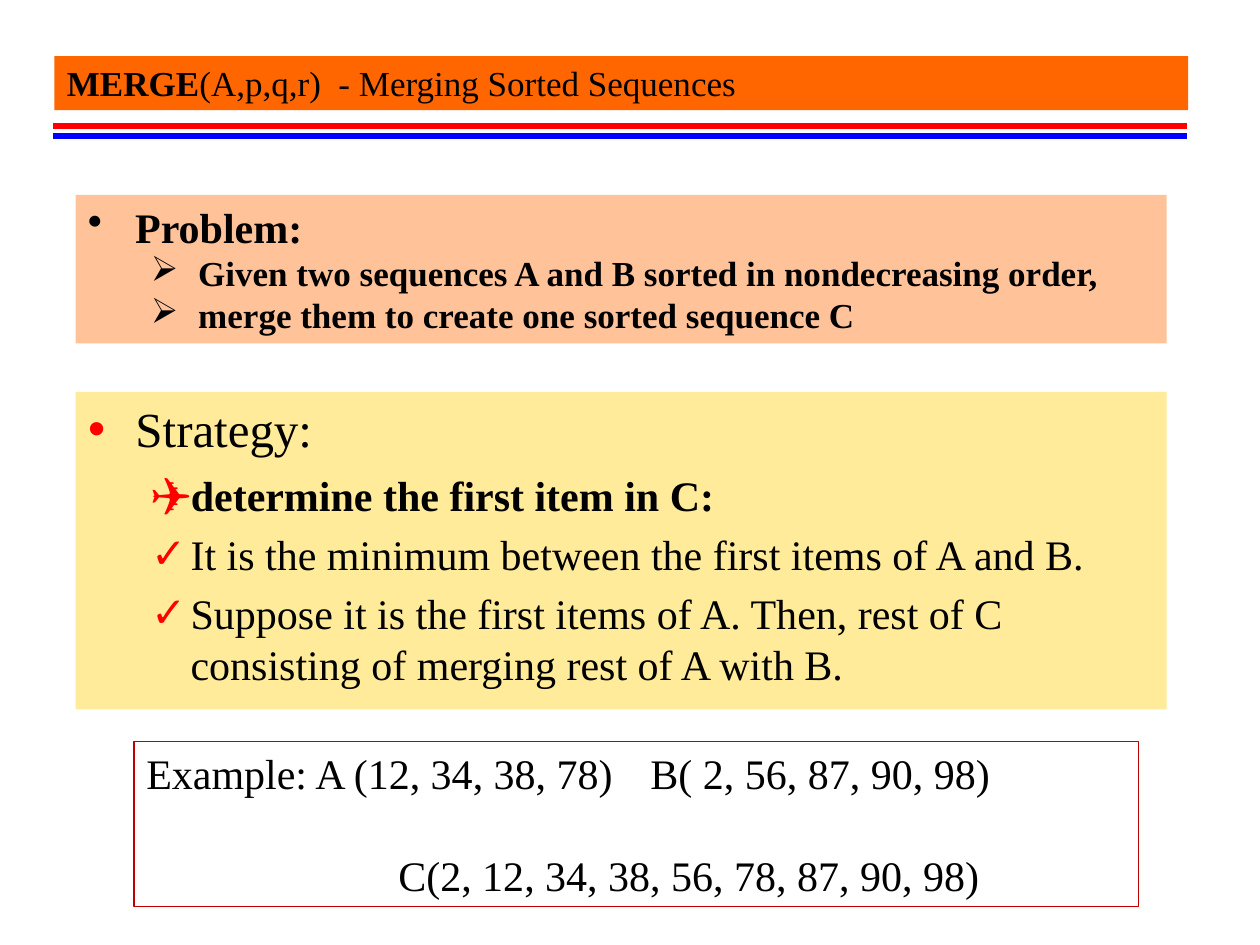
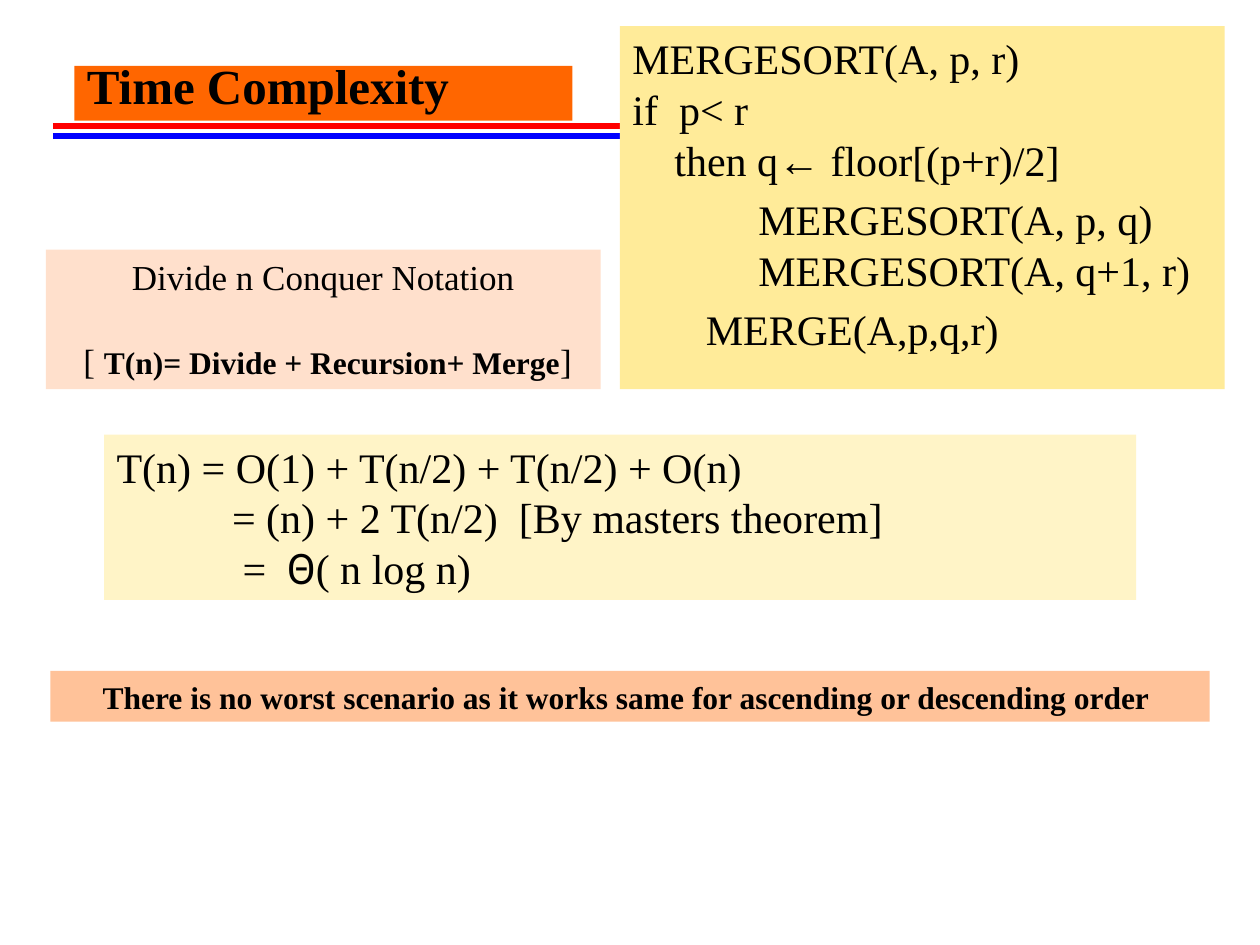
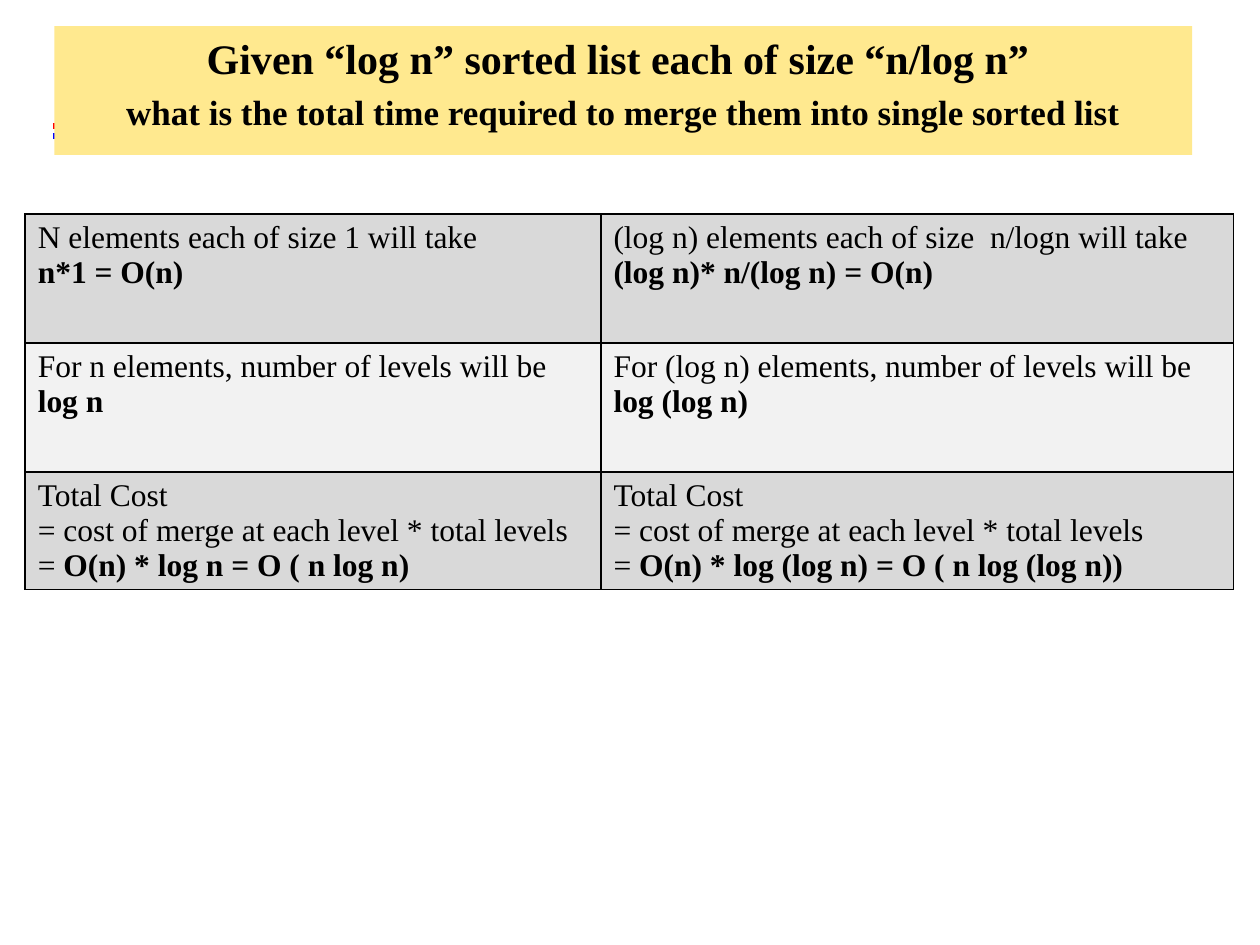
import dataclasses
import itertools

import pptx
import pptx.dml.color
import pptx.enum.shapes
import pptx.enum.text
import pptx.oxml.ns
import pptx.util
from lxml import etree

Pt = pptx.util.Pt
qn = pptx.oxml.ns.qn
ALIGN = pptx.enum.text.PP_ALIGN
ANCHOR = pptx.enum.text.MSO_ANCHOR


@dataclasses.dataclass(frozen=True)
class Theme:
    font: str = "Times New Roman"
    greek_font: str = "Roboto"
    greek_letters: str = "Θ"
    ink: str = "000000"
    title_band: str = "FF6600"
    red: str = "FF0000"
    blue: str = "0000FF"
    example_border: str = "C00000"
    peach: str = "FFC299"
    pale_peach: str = "FFE0CC"
    yellow: str = "FFEB99"
    pale_yellow: str = "FFF4C7"
    question_yellow: str = "FFE98F"
    row_fills: tuple = ("D9D9D9", "F2F2F2")
    heading: int = 28
    body: int = 24
    detail: int = 20
    small: int = 18
    leading: float = 1.2
    paragraph_gap: float = 0.2


THEME = Theme()


@dataclasses.dataclass
class Line:
    """One paragraph; parts between ** marks are bold, newlines are line breaks."""
    text: str
    size: int = THEME.body
    bold: bool = False
    bold_size: int = 0
    align: ALIGN = ALIGN.LEFT
    level: int = 0
    left: float = 0
    hang: float = 0
    bullet: str = ""
    bullet_color: str = THEME.ink
    before: float = 0
    tab: float = 0


def rgb(color):
    return pptx.dml.color.RGBColor.from_string(color)


def add_xml(parent, tag, **attributes):
    return etree.SubElement(parent, qn(tag), {k: str(v) for k, v in attributes.items()})


class Deck:
    def __init__(self, theme):
        self.theme = theme
        self.prs = pptx.Presentation()
        self.prs.slide_width, self.prs.slide_height = Pt(720), Pt(540)
        self.slide = None

    def new_slide(self):
        self.slide = self.prs.slides.add_slide(self.prs.slide_layouts[1])

    def master_rule(self, y, color):
        """Draw a rule under the title and move it to the slide master."""
        rule = self.slide.shapes.add_connector(
            pptx.enum.shapes.MSO_CONNECTOR.STRAIGHT, Pt(30.24), Pt(y), Pt(678.24), Pt(y))
        rule.line.color.rgb = rgb(color)
        rule.line.width = Pt(3)
        add_xml(rule.element.spPr, "a:effectLst")
        master = self.prs.slide_master.shapes
        rule.element.nvCxnSpPr.cNvPr.set("id", str(20 + len(master)))
        master.element.append(rule.element)

    def title(self, box, line):
        heading = self.slide.shapes.title
        self.place(heading, box, self.theme.title_band)
        heading.text_frame.vertical_anchor = ANCHOR.BOTTOM
        self.set_lines(heading.text_frame, [line], spaced=False)

    def no_title(self):
        heading = self.slide.shapes.title.element
        heading.getparent().remove(heading)

    def body(self, box, fill, lines):
        content = self.slide.placeholders[1]
        self.place(content, box, fill)
        for line in lines[1:]:
            line.before = line.before or line.size * self.theme.paragraph_gap
        self.set_lines(content.text_frame, lines)

    def panel(self, box, lines, fill=None, border=None):
        panel = self.slide.shapes.add_textbox(*map(Pt, box))
        self.place(panel, box, fill)
        if border:
            panel.line.color.rgb = rgb(border)
            panel.line.width = Pt(0.75)
        self.set_lines(panel.text_frame, lines)

    def table(self, box, widths, heights, rows):
        grid = self.slide.shapes.add_table(len(rows), len(widths), *map(Pt, box)).table
        grid.first_row = grid.horz_banding = False
        for column, width in zip(grid.columns, widths):
            column.width = Pt(width)
        for r, (row, height) in enumerate(zip(rows, heights)):
            grid.rows[r].height = Pt(height)
            for c, texts in enumerate(row):
                cell = grid.cell(r, c)
                self.cell_borders(cell)
                cell.fill.solid()
                cell.fill.fore_color.rgb = rgb(self.theme.row_fills[r % 2])
                lines = [Line(text, self.theme.small) for text in texts]
                self.set_lines(cell.text_frame, lines, spaced=False)

    def cell_borders(self, cell):
        properties = cell._tc.get_or_add_tcPr()
        for side in "LRTB":
            edge = add_xml(properties, f"a:ln{side}", w=Pt(1))
            add_xml(add_xml(edge, "a:solidFill"), "a:srgbClr", val=self.theme.ink)

    def place(self, shape, box, fill):
        shape.left, shape.top, shape.width, shape.height = map(Pt, box)
        if fill:
            shape.fill.solid()
            shape.fill.fore_color.rgb = rgb(fill)
        shape.text_frame.word_wrap = True
        shape.text_frame.auto_size = pptx.enum.text.MSO_AUTO_SIZE.NONE

    def set_lines(self, frame, lines, spaced=True):
        for i, line in enumerate(lines):
            paragraph = frame.add_paragraph() if i else frame.paragraphs[0]
            self.indent(paragraph, line)
            paragraph.alignment = line.align
            paragraph.space_before = Pt(line.before)
            if spaced:
                paragraph.line_spacing = Pt(round(line.size * self.theme.leading))
            font = paragraph.font
            font.name, font.size, font.bold = self.theme.font, Pt(line.size), line.bold
            font.color.rgb = rgb(self.theme.ink)
            self.add_runs(paragraph, line)

    def indent(self, paragraph, line):
        paragraph.level = line.level
        properties = paragraph._p.get_or_add_pPr()
        properties.set("marL", str(Pt(line.left)))
        properties.set("indent", str(Pt(-line.hang)))
        if line.bullet:
            add_xml(add_xml(properties, "a:buClr"), "a:srgbClr", val=line.bullet_color)
            add_xml(properties, "a:buChar", char=line.bullet)
        else:
            add_xml(properties, "a:buNone")
        if line.tab:
            add_xml(add_xml(properties, "a:tabLst"), "a:tab", pos=Pt(line.tab), algn="l")

    def add_runs(self, paragraph, line):
        for i, part in enumerate(line.text.split("**")):
            for j, row in enumerate(part.split("\n")):
                if j:
                    paragraph.add_line_break()
                for greek, letters in itertools.groupby(
                        row, lambda letter: letter in self.theme.greek_letters):
                    run = paragraph.add_run()
                    run.text = "".join(letters)
                    if greek:
                        run.font.name = self.theme.greek_font
                    if i % 2:
                        run.font.bold = True
                        if line.bold_size:
                            run.font.size = Pt(line.bold_size)


def merging(deck):
    t = deck.theme
    deck.new_slide()
    deck.master_rule(77.76, t.blue)
    deck.master_rule(72, t.red)
    deck.title((31, 32, 648, 31),
               Line("**MERGE**(A,p,q,r)  - Merging Sorted Sequences", t.detail))

    # Strategy
    step = dict(level=1, left=58.5, hang=22.5, bullet_color=t.red)
    deck.body((43.2, 224, 623.5, 181.4), t.yellow, [
        Line("Strategy:", t.heading, left=27, hang=27, bullet="•", bullet_color=t.red),
        Line("determine the first item in C:", bold=True, bullet="✈", before=6.5, **step),
        Line("It is the minimum between the first items of A and B.", bullet="✓", **step),
        Line("Suppose it is the first items of A. Then, rest of C consisting of "
             "merging rest of A with B.", bullet="✓", **step),
    ])

    # Problem
    given = dict(size=t.detail, bold=True, level=1, left=63, hang=27, bullet="➢")
    deck.panel((43.2, 111.4, 623.5, 84.8), [
        Line("Problem:", bold=True, left=27, hang=27, bullet="•"),
        Line("Given two sequences A and B sorted in nondecreasing order,", **given),
        Line("merge them to create one sorted sequence C", **given),
    ], fill=t.peach)

    # Example
    deck.panel((76.5, 423.7, 574, 94.5), [
        Line("Example: A (12, 34, 38, 78) \tB( 2, 56, 87, 90, 98)", tab=360),
        Line("C(2, 12, 34, 38, 56, 78, 87, 90, 98)", left=144, before=29),
    ], border=t.example_border)


def complexity(deck):
    t = deck.theme
    deck.new_slide()
    deck.title((42.5, 37.6, 284.6, 31.4), Line("Time Complexity", t.heading, bold=True))

    # Algorithm
    deck.body((354.2, 15, 345.6, 207.4), t.yellow, [
        Line("MERGESORT(A, p, r)\nif  p< r\n    then q← floor[(p+r)/2]"),
        Line("MERGESORT(A, p, q)\nMERGESORT(A, q+1, r)", left=72),
        Line("       MERGE(A,p,q,r)"),
    ])

    # Recurrence
    deck.panel((59.5, 248.4, 589.7, 94.5), [
        Line("T(n) = O(1) + T(n/2) + T(n/2) + O(n)"),
        Line("= (n) + 2 T(n/2)  [By masters theorem]", left=66),
        Line("=  Θ( n log n)", left=72),
    ], fill=t.pale_yellow)

    # Notation
    deck.panel((26.2, 142.7, 317, 79.7), [
        Line("Divide n Conquer Notation", t.detail, align=ALIGN.CENTER),
        Line(" [ **T(n)= Divide + Recursion+ Merge**]", t.detail, bold_size=t.small,
             align=ALIGN.CENTER, before=24),
    ], fill=t.pale_peach)

    # Conclusion
    deck.panel((28.8, 383.3, 662.4, 29.1), [
        Line("There is no worst scenario as it works same for ascending or "
             "descending order ", t.small, bold=True, align=ALIGN.CENTER),
    ], fill=t.peach)


def sorted_lists(deck):
    t = deck.theme
    deck.new_slide()
    deck.no_title()

    # Cost comparison
    total = ["Total Cost", "= cost of merge at each level * total levels"]
    deck.table((14.4, 122.4, 690.5, 214.2), (329, 361.5), (73.7, 73.7, 66.8), [
        [["N elements each of size 1 will take", "**n*1 = O(n)**"],
         ["(log n) elements each of size  n/logn will take **(log n)* n/(log n) = O(n)**"]],
        [["For n elements, number of levels will be", "**log n**"],
         ["For (log n) elements, number of levels will be", "**log (log n)**"]],
        [total + ["= **O(n) * log n = O ( n log n)**"],
         total + ["= **O(n) * log (log n) = O ( n log (log n))**"]],
    ])

    # Question
    deck.body((31, 15, 650.2, 73.6), t.question_yellow, [
        Line("Given “log n” sorted list each of size “n/log n” ",
             bold=True, align=ALIGN.CENTER),
        Line("what is the total time required to merge them into single sorted list",
             t.detail, bold=True, align=ALIGN.CENTER),
    ])


def main():
    deck = Deck(THEME)
    merging(deck)
    complexity(deck)
    sorted_lists(deck)
    deck.prs.save("out.pptx")


if __name__ == "__main__":
    main()
